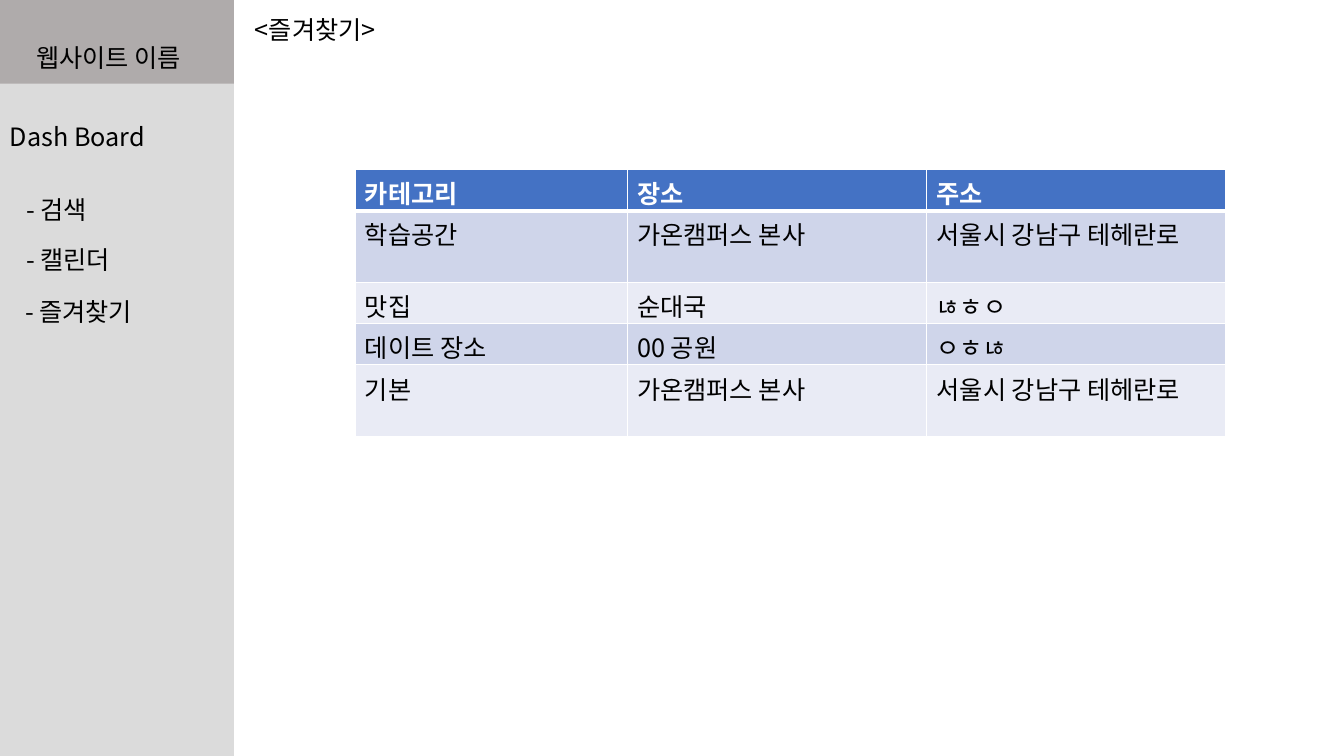
from lxml import etree
from pptx import Presentation
from pptx import util as u
from pptx.dml.color import RGBColor
from pptx.enum import shapes, text
from pptx.oxml.ns import qn

FONT = "Noto Sans CJK KR"
BLACK, WHITE = "000000", "FFFFFF"
HEADER_FILL, BAND_FILLS = "4472C4", ("CFD5EA", "E9EBF5")
SIDEBAR_WIDTH = 2.32

COLUMN_WIDTHS = (2.7, 2.97, 2.97)
ROW_HEIGHTS = (0.41, 0.71, 0.41, 0.41, 0.71)
FAVORITES = (
    ("카테고리", "장소", "주소"),
    ("학습공간", "가온캠퍼스 본사", "서울시 강남구 테헤란로"),
    ("맛집", "순대국", "ㄶㅎㅇ"),
    ("데이트 장소", "00 공원", "ㅇㅎㄶ"),
    ("기본", "가온캠퍼스 본사", "서울시 강남구 테헤란로"),
)


def set_fill(target, color):
    target.fill.solid()
    target.fill.fore_color.rgb = RGBColor.from_string(color)


def write_text(frame, content, size=18, color=BLACK, bold=False):
    run = frame.paragraphs[0].add_run()
    run.text = content
    run.font.name = FONT
    run.font.size = u.Pt(size)
    run.font.bold = bold
    run.font.color.rgb = RGBColor.from_string(color)
    east_asian = etree.SubElement(run.font._element, qn("a:ea"))
    east_asian.set("typeface", FONT)


def add_label(slide, content, left, top, width=2.5):
    box = slide.shapes.add_textbox(
        u.Inches(left), u.Inches(top), u.Inches(width), u.Inches(0.4))
    box.text_frame.word_wrap = True
    box.text_frame.auto_size = text.MSO_AUTO_SIZE.SHAPE_TO_FIT_TEXT
    write_text(box.text_frame, content)


def add_panel(slide, height, color):
    """Add a sidebar rectangle that starts in the slide's top left corner."""
    panel = slide.shapes.add_shape(
        shapes.MSO_SHAPE.RECTANGLE, 0, 0, u.Inches(SIDEBAR_WIDTH), u.Inches(height))
    panel.shadow.inherit = False
    panel.line.fill.background()
    set_fill(panel, color)


def set_borders(cell, top=1, bottom=1):
    """Draw white cell borders; widths are in points."""
    properties = cell._tc.get_or_add_tcPr()
    for side, width in (("L", 1), ("R", 1), ("T", top), ("B", bottom)):
        line = etree.SubElement(properties, qn(f"a:ln{side}"), w=str(u.Pt(width)))
        fill = etree.SubElement(line, qn("a:solidFill"))
        etree.SubElement(fill, qn("a:srgbClr"), val=WHITE)


def add_favorites_table(slide, left, top):
    table = slide.shapes.add_table(
        len(ROW_HEIGHTS), len(COLUMN_WIDTHS), u.Inches(left), u.Inches(top),
        u.Inches(sum(COLUMN_WIDTHS)), u.Inches(sum(ROW_HEIGHTS))).table
    for column, width in zip(table.columns, COLUMN_WIDTHS):
        column.width = u.Inches(width)
    for index, (row, height, values) in enumerate(
            zip(table.rows, ROW_HEIGHTS, FAVORITES)):
        row.height = u.Inches(height)
        header = index == 0
        for cell, value in zip(row.cells, values):
            set_borders(cell, top=3 if index == 1 else 1, bottom=3 if header else 1)
            set_fill(cell, HEADER_FILL if header else BAND_FILLS[(index - 1) % 2])
            write_text(cell.text_frame, value,
                       color=WHITE if header else BLACK, bold=header)


def main():
    presentation = Presentation()
    presentation.slide_width = u.Inches(13.33)
    presentation.slide_height = u.Inches(7.5)
    slide = presentation.slides.add_slide(presentation.slide_layouts[6])

    add_label(slide, "<즐겨찾기>", 2.43, 0.09)
    add_panel(slide, 7.5, "DBDBDB")
    add_panel(slide, 0.83, "AFABAB")
    add_label(slide, "Dash Board", 0, 1.15, width=SIDEBAR_WIDTH)
    add_label(slide, "웹사이트 이름", 0.26, 0.37, width=1.81)
    for content, left, top in (("- 검색", 0.16, 1.88),
                               ("- 캘린더", 0.16, 2.37),
                               ("- 즐겨찾기", 0.15, 2.89)):
        add_label(slide, content, left, top)
    add_favorites_table(slide, 3.52, 1.68)

    presentation.save("out.pptx")


if __name__ == "__main__":
    main()
